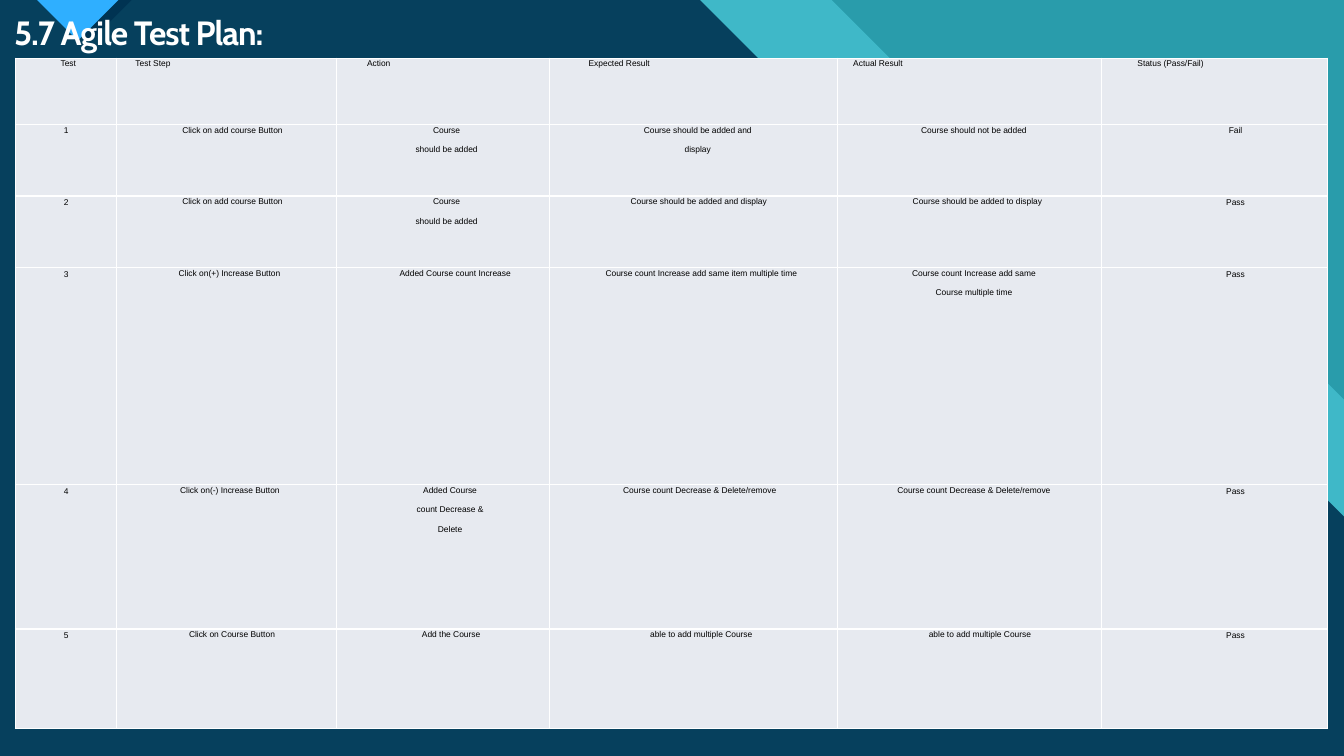
from dataclasses import dataclass
from typing import Optional

from lxml.etree import SubElement
from pptx import Presentation
from pptx.dml.color import RGBColor
from pptx.enum.text import MSO_ANCHOR as Anchor, PP_ALIGN as Align
from pptx.oxml import parse_xml
from pptx.oxml.ns import nsdecls, qn
from pptx.util import Pt

WHITE = RGBColor(0xFF, 0xFF, 0xFF)
BLACK = RGBColor(0x00, 0x00, 0x00)
TEAL = RGBColor(0x29, 0x9C, 0xAB)
AQUA = RGBColor(0x47, 0xC3, 0xD3)
NAVY = RGBColor(0x00, 0x33, 0x52)
BLUE = RGBColor(0x2F, 0xAF, 0xFF)
CELL_GREY = RGBColor(0xE7, 0xEA, 0xF0)

WIDTH, HEIGHT = 960, 540
BOTTOM = 542


@dataclass(frozen=True)
class Panel:
    points: tuple[tuple[float, float], ...]
    color: RGBColor
    opacity: int = 100


@dataclass(frozen=True)
class Cell:
    text: str
    margin: float = 0
    indent: float = 0
    align: Align = Align.CENTER
    spacing: float = 1.14


PANELS = (
    Panel(((0, 0), (WIDTH, 0), (WIDTH, BOTTOM), (0, BOTTOM)), TEAL),
    Panel(((0, 0), (594, 0), (808, 214), (888.5, 214), (WIDTH, 285.5),
           (WIDTH, BOTTOM), (0, BOTTOM)), AQUA, 74),
    Panel(((0, 0), (500, 0), (714, 214), (805, 214), (WIDTH, 369),
           (WIDTH, BOTTOM), (0, BOTTOM)), NAVY, 90),
    Panel(((94, 0), (64.5, 29.5), (35, 0)), NAVY),
    Panel(((26.5, 0), (55.5, 29), (84.5, 0)), BLUE),
)

COLUMN_WIDTHS = (72, 157.5, 152, 206, 188.6, 161.4)
ROW_HEIGHTS = (47.3, 51.3, 51.3, 155, 102.9, 71)


def header(text: str, margin: float, indent: float = 0) -> Cell:
    return Cell(text, margin, indent, Align.LEFT)


def test_row(number: int, status: str, *steps: Cell) -> tuple[Cell, ...]:
    """Frame the four middle cells with the test number and its status."""
    return (Cell(str(number), 0.7, spacing=1.21), *steps,
            Cell(status, 29.5, spacing=1.21))


TEST_PLAN = (
    (Cell("Test", 3.6), header("Test Step", 10.8), header("Action", 18.7),
     header("Expected Result", 33, -8), header("Actual Result", 8),
     header("Status (Pass/Fail)", 8, 14.4)),
    test_row(1, "Fail",
             Cell("Click on add course Button", 4.3, 4.3),
             Cell("Course\nshould be added", 5),
             Cell("Course should be added and\ndisplay", 5.8),
             Cell("Course should not be added", 5.8)),
    test_row(2, "Pass",
             Cell("Click on add course Button", 4.3, 4.3),
             Cell("Course\nshould be added", 5),
             Cell("Course should be added and display", 8.6, -1.4),
             Cell("Course should be added to display", 7.2, 3.6)),
    test_row(3, "Pass",
             Cell("Click on(+) Increase Button", 4.3),
             Cell("Added Course count Increase", 17.3),
             Cell("Course count Increase add same item multiple time", 10.8),
             Cell("Course count Increase add same\nCourse multiple time", 5.8)),
    test_row(4, "Pass",
             Cell("Click on(-) Increase Button", 5),
             Cell("Added Course\ncount Decrease &\nDelete", 10),
             Cell("Course count Decrease & Delete/remove", 8.6),
             Cell("Course count Decrease & Delete/remove", 5, 0.7)),
    test_row(5, "Pass",
             Cell("Click on Course Button", 21.6, -13.7),
             Cell("Add the Course", 11.5),
             Cell("able to add multiple Course", 10.8),
             Cell("able to add multiple Course", 14.4)),
)


def write(frame, text: str, *, font: str, size: float, color: RGBColor,
          bold: bool = False, align: Align = Align.LEFT, spacing: float = 1,
          after: float = 0, margin: float = 0, indent: float = 0,
          tracking: Optional[float] = None) -> None:
    """Fill a text frame, one paragraph for each line of the text."""
    frame.text = text
    for paragraph in frame.paragraphs:
        paragraph.alignment = align
        paragraph.line_spacing = spacing
        paragraph.space_before = Pt(0)
        paragraph.space_after = Pt(after)
        properties = paragraph._p.get_or_add_pPr()
        properties.set("marL", str(Pt(margin)))
        properties.set("indent", str(Pt(indent)))
        for run in paragraph.runs:
            run.font.name = font
            run.font.size = Pt(size)
            run.font.bold = bold
            run.font.color.rgb = color
            if tracking is not None:
                run._r.get_or_add_rPr().set("spc", str(round(tracking * 100)))


def draw_panel(slide, panel: Panel) -> None:
    start, *others = [(Pt(x), Pt(y)) for x, y in panel.points]
    builder = slide.shapes.build_freeform(*start)
    builder.add_line_segments(others, close=True)
    shape = builder.convert_to_shape()
    shape.shadow.inherit = False
    shape.line.fill.background()
    shape.fill.solid()
    shape.fill.fore_color.rgb = panel.color
    if panel.opacity < 100:
        color = shape._element.spPr.find(f"{qn('a:solidFill')}/{qn('a:srgbClr')}")
        SubElement(color, qn("a:alpha"), val=str(panel.opacity * 1000))


def add_title(slide) -> None:
    title = slide.shapes.add_textbox(Pt(3), Pt(8.5), Pt(883), Pt(33))
    frame = title.text_frame
    frame.word_wrap = True
    frame.vertical_anchor = Anchor.MIDDLE
    write(frame, "5.7 Agile Test Plan:", font="Cabin", size=24, color=WHITE,
          bold=True, spacing=0.9, tracking=-0.7)


def add_borders(table_cell) -> None:
    properties = table_cell._tc.get_or_add_tcPr()
    for position, side in enumerate(("lnL", "lnR", "lnT", "lnB")):
        properties.insert(position, parse_xml(
            f'<a:{side} {nsdecls("a")} w="{Pt(1)}"><a:solidFill>'
            f'<a:srgbClr val="{WHITE}"/></a:solidFill></a:{side}>'))


def fill_cell(table_cell, content: Cell) -> None:
    table_cell.margin_left = table_cell.margin_right = Pt(3)
    table_cell.margin_top = table_cell.margin_bottom = Pt(0)
    table_cell.fill.solid()
    table_cell.fill.fore_color.rgb = CELL_GREY
    add_borders(table_cell)
    write(table_cell.text_frame, content.text, font="Arial", size=6,
          color=BLACK, align=content.align, spacing=content.spacing, after=6,
          margin=content.margin, indent=content.indent)


def add_test_plan(slide) -> None:
    plan = slide.shapes.add_table(
        len(ROW_HEIGHTS), len(COLUMN_WIDTHS), Pt(11), Pt(41.5),
        Pt(sum(COLUMN_WIDTHS)), Pt(sum(ROW_HEIGHTS))).table
    plan.first_row = plan.horz_banding = False
    for column, width in zip(plan.columns, COLUMN_WIDTHS):
        column.width = Pt(width)
    for row, height, contents in zip(plan.rows, ROW_HEIGHTS, TEST_PLAN):
        row.height = Pt(height)
        for table_cell, content in zip(row.cells, contents):
            fill_cell(table_cell, content)


def main() -> None:
    deck = Presentation()
    deck.slide_width, deck.slide_height = Pt(WIDTH), Pt(HEIGHT)
    slide = deck.slides.add_slide(deck.slide_layouts[6])
    slide.background.fill.solid()
    slide.background.fill.fore_color.rgb = AQUA
    for panel in PANELS:
        draw_panel(slide, panel)
    add_title(slide)
    add_test_plan(slide)
    deck.save("out.pptx")


if __name__ == "__main__":
    main()
